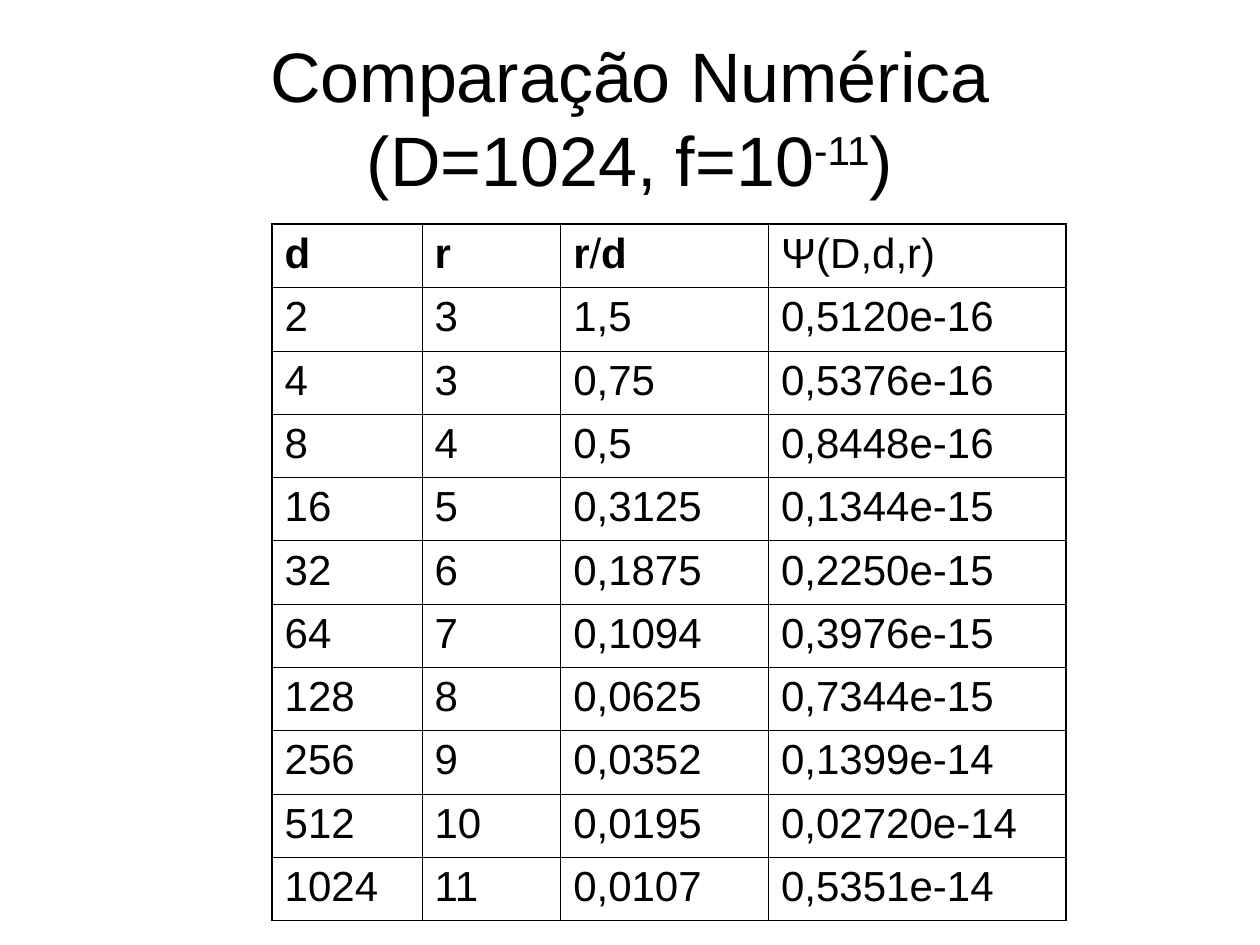
"""Build a slide with a titled table of numerical results."""
import dataclasses

import lxml.etree
import pptx
import pptx.dml.color
import pptx.enum.text
import pptx.oxml.ns
import pptx.util

Inches = pptx.util.Inches
Pt = pptx.util.Pt


@dataclasses.dataclass(frozen=True)
class Theme:
    ink: str = "000000"
    face: str = "Arial"
    title: int = 40
    body: int = 24
    thin: float = 0.45
    thick: float = 1.08


theme = Theme()


def style(para, size):
    para.font.name = theme.face
    para.font.size = Pt(size)
    para.font.color.rgb = pptx.dml.color.RGBColor.from_string(theme.ink)


def border(cell, tag, order, width):
    qn = pptx.oxml.ns.qn
    line = lxml.etree.Element(qn(f"a:{tag}"), w=str(Pt(width)))
    fill = lxml.etree.SubElement(line, qn("a:solidFill"))
    lxml.etree.SubElement(fill, qn("a:srgbClr"), val=theme.ink)
    cell._tc.get_or_add_tcPr().insert(order, line)


deck = pptx.Presentation()
deck.slide_width = Inches(10)
deck.slide_height = Inches(7.5)
slide = deck.slides.add_slide(deck.slide_layouts[6])

title = slide.shapes.add_textbox(Inches(0.5), Inches(0.3), Inches(9), Inches(1.25))
frame = title.text_frame
frame.word_wrap = True
frame.vertical_anchor = pptx.enum.text.MSO_ANCHOR.MIDDLE
para = frame.paragraphs[0]
para.alignment = pptx.enum.text.PP_ALIGN.CENTER
style(para, theme.title)
para.add_run().text = "Comparação Numérica"
para.add_line_break()
para.add_run().text = "(D=1024, f=10"
power = para.add_run()
power.text = "-11"
power.font._element.set("baseline", "30000")
para.add_run().text = ")"

heads = [["d"], ["r"], ["r", "/", "d"], ["Ψ(D,d,r)"]]
data = [
    ("2", "3", "1,5", "0,5120e-16"),
    ("4", "3", "0,75", "0,5376e-16"),
    ("8", "4", "0,5", "0,8448e-16"),
    ("16", "5", "0,3125", "0,1344e-15"),
    ("32", "6", "0,1875", "0,2250e-15"),
    ("64", "7", "0,1094", "0,3976e-15"),
    ("128", "8", "0,0625", "0,7344e-15"),
    ("256", "9", "0,0352", "0,1399e-14"),
    ("512", "10", "0,0195", "0,02720e-14"),
    ("1024", "11", "0,0107", "0,5351e-14"),
]
rows = [heads] + [[[text] for text in line] for line in data]
widths = [1.19, 1.1, 1.65, 2.36]

grid = slide.shapes.add_table(
    len(rows), len(widths), Inches(2.16), Inches(1.78), Inches(sum(widths)), Inches(5.53)
).table
grid.first_row = False
grid.horz_banding = False
for col, width in zip(grid.columns, widths):
    col.width = Inches(width)

for i, row in enumerate(rows):
    for j, parts in enumerate(row):
        cell = grid.cell(i, j)
        cell.fill.background()
        para = cell.text_frame.paragraphs[0]
        para.space_before = Pt(6)
        style(para, theme.body)
        for part in parts:
            run = para.add_run()
            run.text = part
            run.font.bold = i == 0 and part in ("d", "r")
        edges = {
            "lnL": j == 0,
            "lnR": j == len(widths) - 1,
            "lnT": i == 0,
            "lnB": i == len(rows) - 1,
        }
        for order, (tag, outer) in enumerate(edges.items()):
            border(cell, tag, order, theme.thick if outer else theme.thin)

deck.save("out.pptx")
